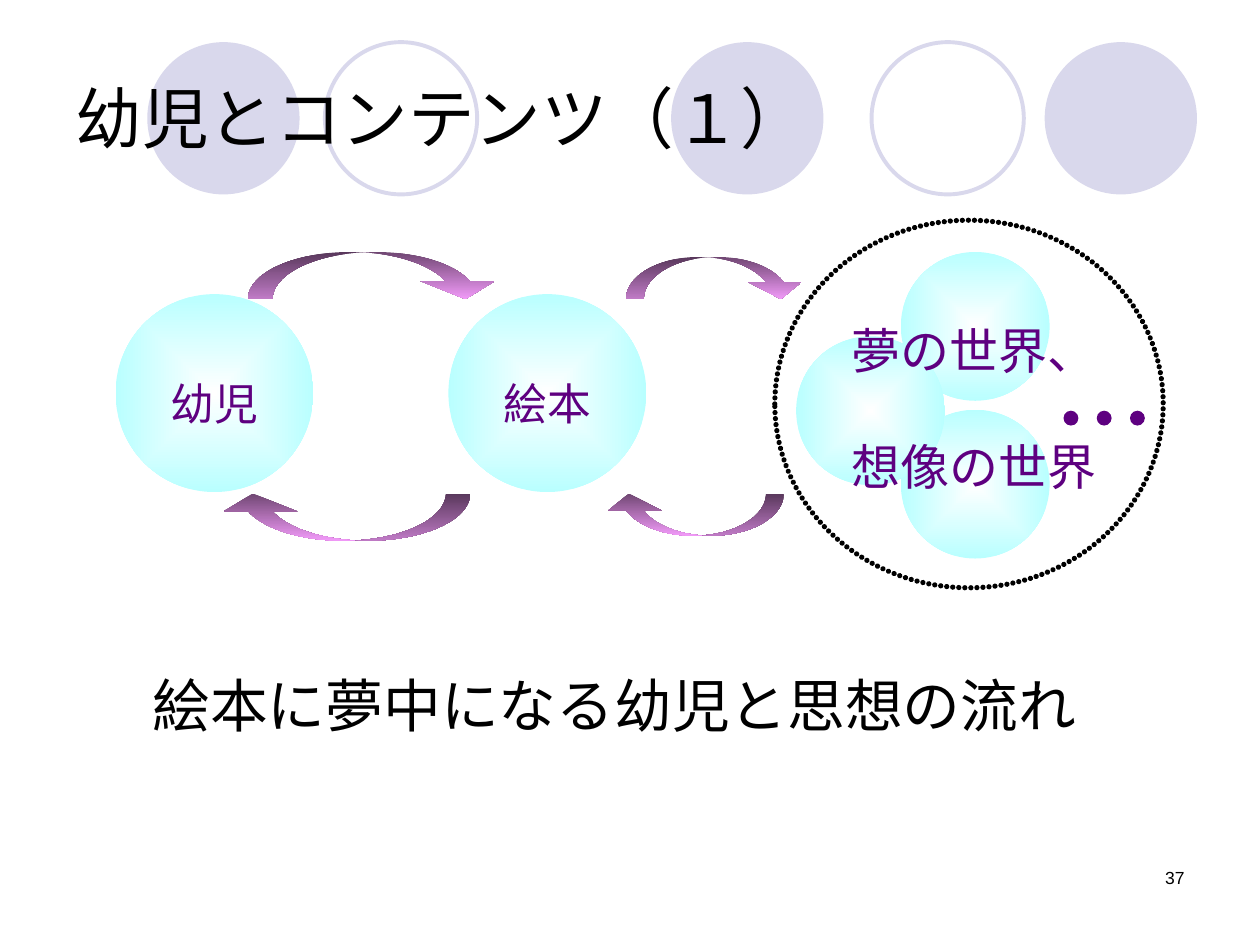
from dataclasses import dataclass

from lxml.etree import SubElement
from pptx import Presentation
from pptx.dml.color import RGBColor
from pptx.enum.shapes import MSO_SHAPE
from pptx.enum.text import MSO_ANCHOR as Anchor, PP_ALIGN as Align
from pptx.oxml.ns import qn
from pptx.util import Cm, Pt


@dataclass(frozen=True)
class Theme:
    black: RGBColor = RGBColor.from_string("000000")
    white: RGBColor = RGBColor.from_string("FFFFFF")
    lavender: RGBColor = RGBColor.from_string("D9D8EC")
    aqua: RGBColor = RGBColor.from_string("B9FFFF")
    purple: RGBColor = RGBColor.from_string("5E0080")
    arrow_dark: RGBColor = RGBColor.from_string("704773")
    arrow_light: RGBColor = RGBColor.from_string("F19AF8")
    sans: str = "Arial"
    serif: str = "TeX Gyre Schola"
    title_size: Pt = Pt(38)
    caption_size: Pt = Pt(33)
    world_size: Pt = Pt(28)
    ball_size: Pt = Pt(25)
    number_size: Pt = Pt(10)


THEME = Theme()


def write(frame, lines, font_name, size, color, align=Align.LEFT, gap=Pt(0)):
    frame.text = "\n".join(lines)
    for index, paragraph in enumerate(frame.paragraphs):
        paragraph.alignment = align
        paragraph.space_before = gap if index else Pt(0)
        paragraph.font.name = font_name
        paragraph.font.size = size
        paragraph.font.color.rgb = color


def add_text(slide, box, lines, *style, wrap=True, **options):
    frame = slide.shapes.add_textbox(*map(Cm, box)).text_frame
    frame.word_wrap = wrap
    write(frame, lines, *style, **options)


def add_ellipse(slide, left, top, width, height, fill=None, line=None, line_width=0):
    ellipse = slide.shapes.add_shape(
        MSO_SHAPE.OVAL, Cm(left), Cm(top), Cm(width), Cm(height))
    ellipse.shadow.inherit = False
    if fill is None:
        ellipse.fill.background()
    else:
        ellipse.fill.solid()
        ellipse.fill.fore_color.rgb = fill
    if line is None:
        ellipse.line.fill.background()
    else:
        ellipse.line.color.rgb = line
        ellipse.line.width = Pt(line_width)
    return ellipse


def fill_gradient(shape, first, last):
    """Fill the shape from the first colour at the top to the last at the bottom."""
    shape.fill.gradient()
    shape.fill.gradient_angle = 270
    for stop, color in zip(shape.fill.gradient_stops, (first, last)):
        stop.color.rgb = color
    gradient = shape._element.spPr.find(qn("a:gradFill"))
    gradient.set("rotWithShape", "0")
    return gradient


def add_ball(slide, left, top, size, label=None):
    """Add a circle that is white in the middle, with an optional label."""
    ball = add_ellipse(slide, left, top, size, size)
    gradient = fill_gradient(ball, THEME.white, THEME.aqua)
    gradient.remove(gradient.find(qn("a:lin")))
    centre = SubElement(gradient, qn("a:path"), path="rect")
    SubElement(centre, qn("a:fillToRect"), l="50000", t="50000", r="50000", b="50000")
    if label:
        frame = ball.text_frame
        frame.vertical_anchor = Anchor.TOP
        frame.margin_top = Cm(1.09)
        write(frame, [label], THEME.serif, THEME.ball_size, THEME.purple, Align.CENTER)


def add_dotted_ring(slide, *box):
    ring = add_ellipse(slide, *box, line=THEME.black, line_width=3)
    line = ring.line._get_or_add_ln()
    line.set("cap", "rnd")
    dashes = SubElement(line, qn("a:custDash"))
    SubElement(dashes, qn("a:ds"), d="100000", sp="15000")


def add_curved_arrow(slide, box, proportions, rotation):
    """Add an arching arrow; proportions are shaft, head width and head length."""
    arrow = slide.shapes.add_shape(MSO_SHAPE.CURVED_DOWN_ARROW, *map(Cm, box))
    for index, proportion in enumerate(proportions):
        arrow.adjustments[index] = proportion
    arrow.rotation = rotation
    arrow.shadow.inherit = False
    arrow.line.fill.background()
    fill_gradient(arrow, THEME.arrow_dark, THEME.arrow_light)


def add_arrows(slide):
    long_arrow, short_arrow = (0.52, 1.57, 0.38), (0.42, 1.26, 0.4)
    add_curved_arrow(slide, (5, 5.08, 5.13, 0.95), long_arrow, 0)
    add_curved_arrow(slide, (12.62, 5.18, 3.66, 0.85), short_arrow, 0)
    add_curved_arrow(slide, (12.14, 9.95, 3.66, 0.85), short_arrow, 180)
    add_curved_arrow(slide, (4.35, 9.95, 5.13, 0.95), long_arrow, 180)


def add_title(slide, text):
    title = slide.shapes.title
    title.left, title.top, title.width, title.height = map(Cm, (1.27, 0.76, 22.86, 3.18))
    title.text_frame.vertical_anchor = Anchor.MIDDLE
    write(title.text_frame, [text], THEME.sans, THEME.title_size, THEME.black)
    title._element.getparent().append(title._element)  # in front of the circles


def add_header_circles(slide):
    top, size = 0.85, 3.07
    for left in (2.97, 13.53, 21.06):
        add_ellipse(slide, left, top, size, size, fill=THEME.lavender)
    for left in (6.55, 17.57):
        add_ellipse(slide, left, top, size, size, line=THEME.lavender, line_width=2.25)


def add_imagined_world(slide):
    for left, top in ((18.16, 5.08), (18.16, 8.26), (16.05, 6.78)):
        add_ball(slide, left, top, 3)
    add_dotted_ring(slide, 15.62, 4.44, 7.83, 7.41)
    for index in range(3):
        add_ellipse(slide, 21.44 + 0.67 * index, 8.28, 0.3, 0.3, fill=THEME.purple)


def main():
    presentation = Presentation()
    presentation.slide_width, presentation.slide_height = Cm(25.4), Cm(19.05)
    slide = presentation.slides.add_slide(presentation.slide_layouts[5])

    add_header_circles(slide)
    add_text(slide, (18.21, 17.35, 5.92, 1.27), ["37"],
             THEME.sans, THEME.number_size, THEME.black, align=Align.RIGHT)
    add_text(slide, (2.33, 13.37, 20.11, 1.24), ["絵本に夢中になる幼児と思想の流れ"],
             THEME.serif, THEME.caption_size, THEME.black, align=Align.CENTER)
    for left, label in ((2.33, "幼児"), (9.04, "絵本")):
        add_ball(slide, left, 5.93, 3.99, label)
    add_arrows(slide)
    add_imagined_world(slide)
    add_title(slide, "幼児とコンテンツ（１）")
    add_text(slide, (16.92, 6.33, 5.44, 3.81), ["夢の世界、", "想像の世界"],
             THEME.sans, THEME.world_size, THEME.purple, gap=Pt(33), wrap=False)

    presentation.save("out.pptx")


if __name__ == "__main__":
    main()
